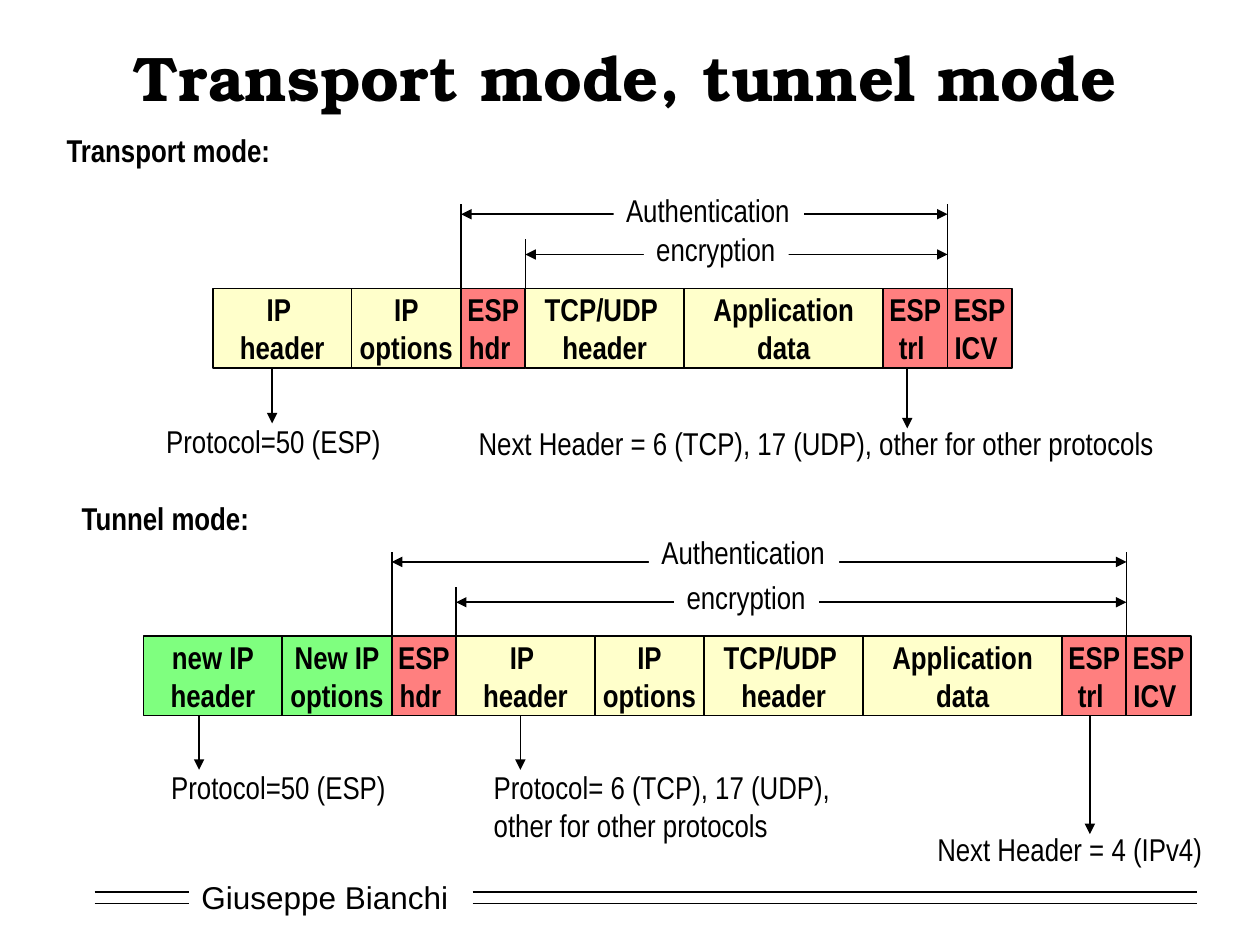
"""Build a slide comparing ESP transport mode and tunnel mode packets."""
from lxml import etree
from pptx import Presentation
from pptx.dml.color import RGBColor
from pptx.enum import shapes, text
from pptx.oxml.ns import qn
from pptx.util import Inches, Pt

BLACK = RGBColor(0, 0, 0)
WHITE = RGBColor(255, 255, 255)
YELLOW = RGBColor(0xFF, 0xFF, 0x99)
RED = RGBColor(0xFF, 0, 0)
GREEN = RGBColor(0, 0xFF, 0)

ROW_HEIGHT = 0.63
LABEL_HEIGHT = 0.4
ESP_HEADER = ("ESP\nhdr ", 0.51, RED)
IP_FIELDS = [("IP \vheader", 1.1, YELLOW), ("IP\voptions", 0.87, YELLOW)]
NEW_IP_FIELDS = [("new IP\vheader", 1.1, GREEN), ("New IP\voptions", 0.87, GREEN)]
PAYLOAD_FIELDS = [
    ("TCP/UDP \vheader", 1.26, YELLOW),
    ("Application\vdata", 1.58, YELLOW),
    ("ESP\ntrl ", 0.51, RED),
    ("ESP\nICV ", 0.51, RED),
]


def write_text(shape, content, size=18, font="Arial Narrow", bold=False,
               align=text.PP_ALIGN.LEFT, anchor=text.MSO_ANCHOR.TOP, wrap=False):
    """Put formatted black text into a shape."""
    frame = shape.text_frame
    frame.text = content
    frame.word_wrap = wrap
    frame.vertical_anchor = anchor
    for paragraph in frame.paragraphs:
        paragraph.alignment = align
        for run in paragraph.runs:
            run.font.size = Pt(size)
            run.font.name = font
            run.font.bold = bold
            run.font.color.rgb = BLACK


def add_label(slide, content, left, top, width, height=LABEL_HEIGHT, fill=None, **style):
    """Add a text box, with an optional solid fill."""
    label = slide.shapes.add_textbox(Inches(left), Inches(top), Inches(width), Inches(height))
    if fill is not None:
        label.fill.solid()
        label.fill.fore_color.rgb = fill
    write_text(label, content, **style)


def add_line(slide, start, end, head=False, tail=False):
    """Add a thin black line with optional arrowheads at its start and end."""
    line = slide.shapes.add_connector(
        shapes.MSO_CONNECTOR.STRAIGHT, *(Inches(value) for value in (*start, *end)))
    line.line.color.rgb = BLACK
    line.line.width = Pt(1)
    properties = line._element.spPr
    outline = properties.find(qn("a:ln"))
    for tag, wanted in (("a:headEnd", head), ("a:tailEnd", tail)):
        if wanted:
            etree.SubElement(outline, qn(tag), type="triangle")
    etree.SubElement(properties, qn("a:effectLst"))


def add_field(slide, content, left, top, width, color):
    """Add one half-transparent packet field."""
    field = slide.shapes.add_shape(
        shapes.MSO_SHAPE.RECTANGLE, Inches(left), Inches(top), Inches(width), Inches(ROW_HEIGHT))
    field.shadow.inherit = False
    field.fill.solid()
    field.fill.fore_color.rgb = color
    color_element = field._element.spPr.find(qn("a:solidFill"))[0]
    etree.SubElement(color_element, qn("a:alpha"), val="50000")
    field.line.color.rgb = BLACK
    field.line.width = Pt(1)
    write_text(field, content, bold=True, align=text.PP_ALIGN.CENTER,
               anchor=text.MSO_ANCHOR.MIDDLE)


def add_packet(slide, fields, left, top):
    """Add adjoining packet fields in a row."""
    for content, width, color in fields:
        add_field(slide, content, left, top, width, color)
        left += width


def add_spans(slide, esp_left, right, top, authentication, encryption):
    """Mark the authenticated and encrypted ranges, given label positions."""
    encrypted_left = esp_left + ESP_HEADER[1]
    for left in (esp_left, right):
        add_line(slide, (left, top + 0.24), (left, top - 0.67))
    add_line(slide, (encrypted_left, top + 0.04), (encrypted_left, top - 0.39))
    for left, rise in ((esp_left, 0.59), (encrypted_left, 0.27)):
        add_line(slide, (left, top - rise), (right, top - rise), head=True, tail=True)
    add_label(slide, "Authentication", *authentication, 1.51, fill=WHITE)
    add_label(slide, "encryption", *encryption, 1.15, fill=WHITE)


def add_note(slide, content, arrow_x, row_top, arrow_end, left, top, width, height=LABEL_HEIGHT):
    """Add an arrow down from a packet field and the note it points to."""
    add_line(slide, (arrow_x, row_top + ROW_HEIGHT), (arrow_x, arrow_end), tail=True)
    add_label(slide, content, left, top, width, height)


def add_footer(slide):
    """Add the author name between double rules."""
    add_label(slide, "Giuseppe Bianchi", 1.5, 6.92, 2.17, fill=WHITE, font="Arial",
              anchor=text.MSO_ANCHOR.MIDDLE, wrap=True)
    for y in (7.08, 7.17):
        for left, right in ((0.75, 1.5), (3.75, 9.5)):
            add_line(slide, (left, y), (right, y))


def add_transport_mode(slide):
    """Draw the transport mode packet."""
    top = 2.29
    add_label(slide, "Transport mode:", 0.43, 0.99, 1.83, bold=True)
    add_packet(slide, [*IP_FIELDS, ESP_HEADER, *PAYLOAD_FIELDS], 1.69, top)
    add_spans(slide, 3.66, 7.52, top, (4.87, 1.47), (5.11, 1.78))
    add_note(slide, "Protocol=50 (ESP)", 2.16, top, 3.36, 1.22, 3.3, 1.91)
    add_note(slide, "Next Header = 6 (TCP), 17 (UDP), other for other protocols",
             7.2, top, 3.4, 3.7, 3.32, 5.57)


def add_tunnel_mode(slide):
    """Draw the tunnel mode packet."""
    top = 5.05
    add_label(slide, "Tunnel mode:", 0.55, 3.91, 1.55, bold=True)
    add_packet(slide, [*NEW_IP_FIELDS, ESP_HEADER, *IP_FIELDS, *PAYLOAD_FIELDS], 1.14, top)
    add_spans(slide, 3.11, 8.94, top, (5.15, 4.18), (5.35, 4.54))
    add_note(slide, "Protocol=50 (ESP)", 1.58, top, 6.11, 1.26, 6.05, 1.91)
    add_note(slide, "Protocol= 6 (TCP), 17 (UDP), \vother for other protocols",
             4.13, top, 6.11, 3.82, 6.05, 2.93, 0.7)
    add_note(slide, "Next Header = 4 (IPv4)", 8.65, top, 6.62, 7.34, 6.54, 2.31)


def main():
    """Build and save the presentation."""
    presentation = Presentation()
    presentation.slide_width = Inches(10)
    presentation.slide_height = Inches(7.5)
    slide = presentation.slides.add_slide(presentation.slide_layouts[6])
    add_footer(slide)
    add_label(slide, "Transport mode, tunnel mode", 0.75, 0.25, 8.42, 0.71, size=36,
              font="TeX Gyre Bonum", bold=True, align=text.PP_ALIGN.CENTER,
              anchor=text.MSO_ANCHOR.MIDDLE, wrap=True)
    add_transport_mode(slide)
    add_tunnel_mode(slide)
    presentation.save("out.pptx")


if __name__ == "__main__":
    main()
